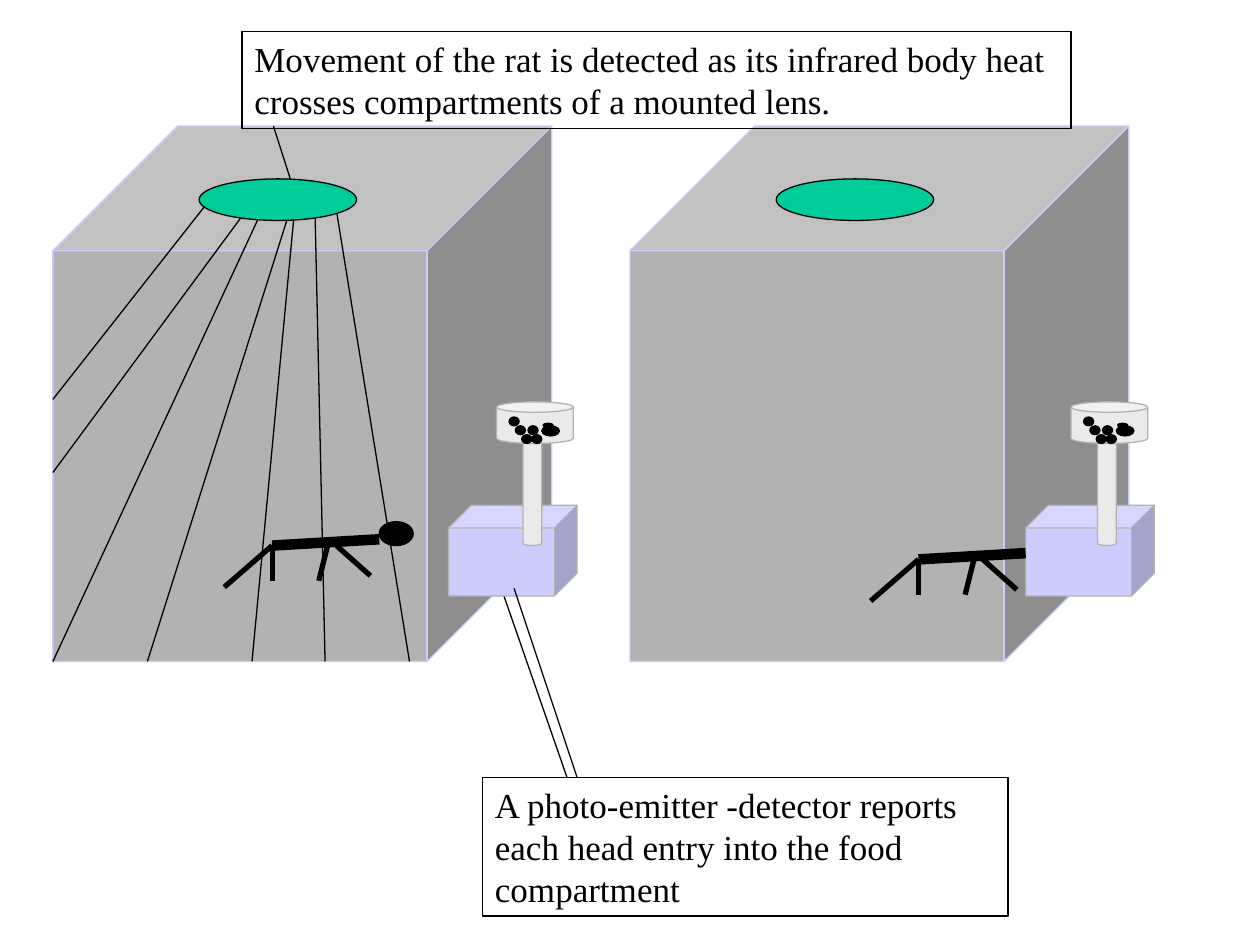
import pptx
import pptx.dml.color
import pptx.enum.shapes
import pptx.enum.text
import pptx.util
from lxml import etree

RGB = pptx.dml.color.RGBColor
SHAPE = pptx.enum.shapes.MSO_SHAPE
TEXT = pptx.enum.text

BLACK = RGB(0x00, 0x00, 0x00)
GREY = RGB(0xB2, 0xB2, 0xB2)
LILAC = RGB(0xCC, 0xCC, 0xFF)
PALE = RGB(0xEA, 0xEA, 0xEA)
GREEN = RGB(0x00, 0xCC, 0x99)

# Positions are in inches: left, top, width, height or x1, y1, x2, y2.
LENS_NOTE = ("Movement of the rat is detected as its infrared body heat "
             "crosses compartments of a mounted lens.", (1.92, 0.25, 6.58, 0.77))
FOOD_NOTE = ("A photo-emitter -detector reports each head entry into the food "
             "compartment", (3.83, 6.17, 4.17, 1.1))

CHAMBER = (0.42, 1, 3.96, 4.25)
FOOD_BOX = (3.56, 4.01, 1.02, 0.72)
LENS = (1.58, 1.42, 1.25, 0.33)
CHAMBER_STEP = 4.58

RAT_HEAD = (3.01, 4.14, 0.27, 0.19)
RAT_BODY = (3.01, 4.28, 2.16, 4.33)
RAT_LEGS = [(2.67, 4.33, 2.94, 4.57), (2.6, 4.33, 2.53, 4.61),
            (2.16, 4.33, 2.16, 4.61), (2.16, 4.33, 1.78, 4.66)]
RAT_STEP = (5.13, 0.11)

HOPPER_CANS = [(4.15, 3.19, 0.15, 1.14), (3.94, 3.19, 0.61, 0.33)]
PELLETS = [(x, y, 0.08, 0.07) for x, y in
           [(4.04, 3.31), (4.14, 3.45), (4.19, 3.38), (4.22, 3.45), (4.09, 3.38)]]
PELLETS += [(4.3, 3.38, 0.14, 0.08), (4.31, 3.36, 0.08, 0.03)]
HOPPER_STEP = 4.56

LENS_LEADER = (2.33, 1.5, 2.17, 1)
FOOD_LEADERS = [(3.92, 4.5, 4.5, 6.17), (4.08, 4.67, 4.58, 6.17)]
RAYS = [(2.08, 1.5, 0.42, 3.75), (1.67, 1.58, 0.42, 3.17),
        (2.08, 1.67, 0.42, 5.25), (2.33, 1.58, 1.17, 5.25),
        (2.5, 1.67, 2.58, 5.25), (2.67, 1.67, 3.25, 5.25)]
FRONT_RAY = (2.33, 1.75, 2, 5.25)

FRAME_FORMAT = {"word_wrap": True, "vertical_anchor": TEXT.MSO_ANCHOR.TOP,
                "auto_size": TEXT.MSO_AUTO_SIZE.SHAPE_TO_FIT_TEXT}
FONT_FORMAT = {"name": "Times New Roman", "size": pptx.util.Pt(20)}


def place(box, dx=0, dy=0):
    """Turn inches into lengths, moved by dx and dy."""
    return [pptx.util.Cm(2.54 * (v + d)) for v, d in zip(box, (dx, dy, 0, 0))]


def set_line(s, color=BLACK, width=0.75):
    s.line.color.rgb = color
    s.line.width = pptx.util.Pt(width)


def add_solid(shapes, kind, box, fill, line=BLACK, dx=0):
    s = shapes.add_shape(kind, *place(box, dx))
    s.shadow.inherit = False
    s.fill.solid()
    s.fill.fore_color.rgb = fill
    set_line(s, line)


def add_line(shapes, ends, width=0.75, dx=0, dy=0):
    start, end = place(ends[:2], dx, dy), place(ends[2:], dx, dy)
    s = shapes.add_connector(pptx.enum.shapes.MSO_CONNECTOR.STRAIGHT, *start, *end)
    set_line(s, width=width)
    etree.SubElement(s._element.spPr, pptx.oxml.ns.qn("a:effectLst"))


def add_chamber(shapes, dx=0):
    add_solid(shapes, SHAPE.CUBE, CHAMBER, GREY, LILAC, dx)
    add_solid(shapes, SHAPE.CUBE, FOOD_BOX, LILAC, GREY, dx)


def add_rat(shapes, dx=0, dy=0):
    add_line(shapes, RAT_BODY, 6, dx, dy)
    for leg in RAT_LEGS:
        add_line(shapes, leg, 3, dx, dy)


def add_hopper(shapes, dx=0):
    group = shapes.add_group_shape().shapes
    for can in HOPPER_CANS:
        add_solid(group, SHAPE.CAN, can, PALE, GREY, dx)
    for pellet in PELLETS:
        add_solid(group, SHAPE.OVAL, pellet, BLACK, dx=dx)


def add_note(shapes, text, box):
    s = shapes.add_textbox(*place(box))
    set_line(s)
    tf = s.text_frame
    for name, value in FRAME_FORMAT.items():
        setattr(tf, name, value)
    r = tf.paragraphs[0].add_run()
    r.text = text
    for name, value in FONT_FORMAT.items():
        setattr(r.font, name, value)
    r.font.color.rgb = BLACK


def main():
    prs = pptx.Presentation()
    prs.slide_width, prs.slide_height = place((10, 7.5))
    shapes = prs.slides.add_slide(prs.slide_layouts[6]).shapes

    add_line(shapes, FOOD_LEADERS[0])
    add_chamber(shapes)
    rat = shapes.add_group_shape().shapes
    add_solid(rat, SHAPE.OVAL, RAT_HEAD, BLACK)
    add_rat(rat)

    add_chamber(shapes, CHAMBER_STEP)
    add_rat(shapes, *RAT_STEP)

    add_line(shapes, FOOD_LEADERS[1])
    add_note(shapes, *FOOD_NOTE)
    add_solid(shapes, SHAPE.OVAL, LENS, GREEN, dx=CHAMBER_STEP)
    for ends in [LENS_LEADER, *RAYS]:
        add_line(shapes, ends)
    add_solid(shapes, SHAPE.OVAL, LENS, GREEN)
    add_line(shapes, FRONT_RAY)
    add_note(shapes, *LENS_NOTE)

    for dx in (0, HOPPER_STEP):
        add_hopper(shapes, dx)
    prs.save("out.pptx")


if __name__ == "__main__":
    main()
